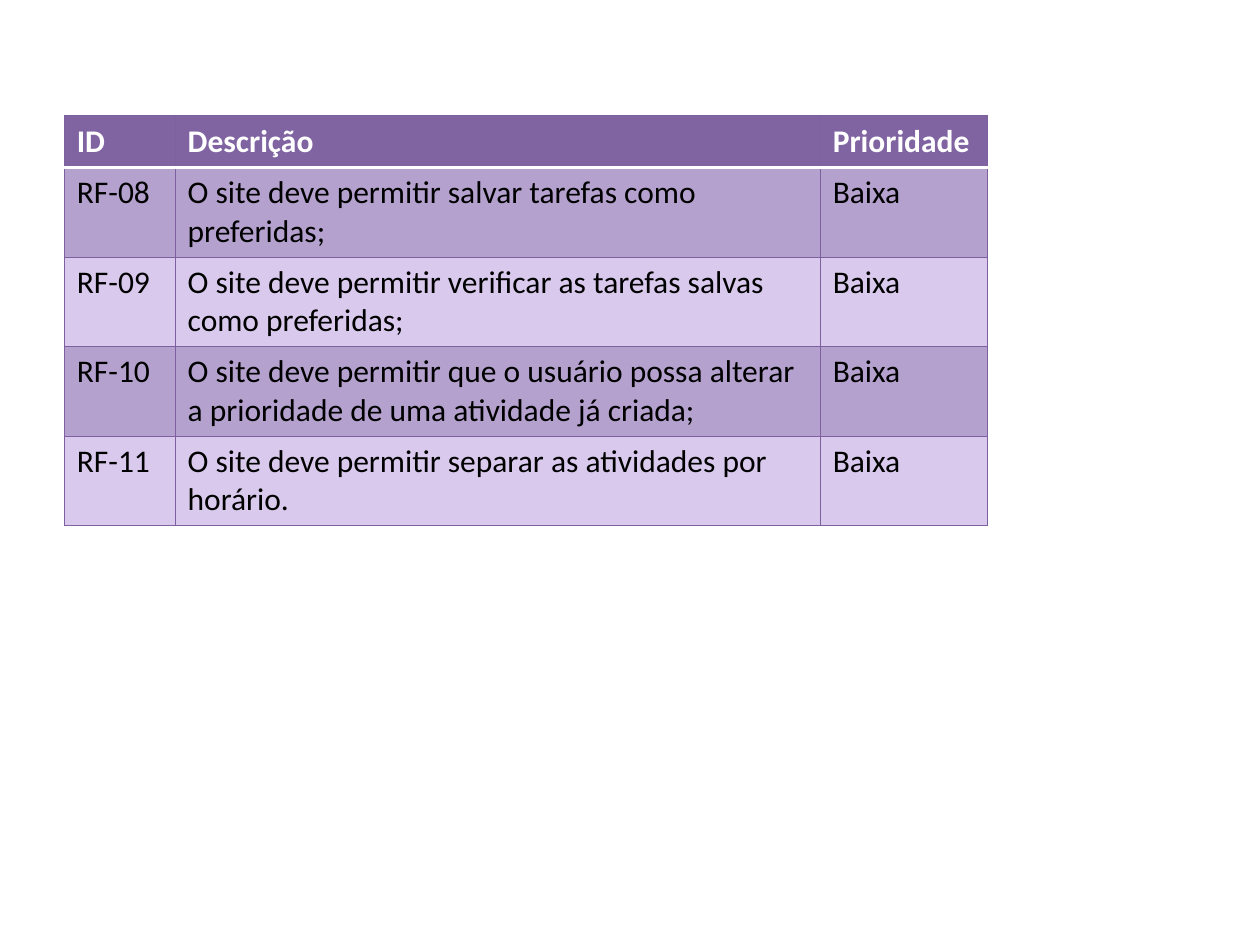
from typing import NamedTuple

from lxml.etree import Element, SubElement
from pptx import Presentation
from pptx.dml.color import RGBColor
from pptx.oxml.ns import qn
from pptx.table import Table, _Cell
from pptx.util import Inches, Pt

HEADER_FILL = RGBColor(0x80, 0x64, 0xA2)
DARK_BAND = RGBColor(0xB4, 0xA1, 0xCE)
LIGHT_BAND = RGBColor(0xD9, 0xC9, 0xEC)
GRID_LINE = RGBColor(0x7D, 0x60, 0xA0)
WHITE = RGBColor(0xFF, 0xFF, 0xFF)
BLACK = RGBColor(0x00, 0x00, 0x00)

COLUMN_WIDTHS = (0.88, 5.12, 1.33)
ROW_HEIGHT = 0.41


class Requirement(NamedTuple):
    code: str
    description: str
    priority: str


class Border(NamedTuple):
    color: RGBColor
    points: float


HEADINGS = Requirement("ID", "Descrição", "Prioridade")
REQUIREMENTS = (
    Requirement("RF-08", "O site deve permitir salvar tarefas como preferidas;", "Baixa"),
    Requirement("RF-09", "O site deve permitir verificar as tarefas salvas como preferidas;", "Baixa"),
    Requirement(
        "RF-10",
        "O site deve permitir que o usuário possa alterar a prioridade de uma atividade já criada;",
        "Baixa",
    ),
    Requirement("RF-11", "O site deve permitir separar as atividades por horário.", "Baixa"),
)
THIN = Border(GRID_LINE, 0.75)
HEADER_RULE = Border(WHITE, 2)


def write_text(
    cell: _Cell, text: str, *, color: RGBColor = BLACK, bold: bool = False,
    size: float = 18, font: str = "Calibri",
) -> None:
    run = cell.text_frame.paragraphs[0].add_run()
    run.text = text
    run.font.name = font
    run.font.size = Pt(size)
    run.font.bold = bold
    run.font.color.rgb = color


def set_borders(cell: _Cell, top: Border, bottom: Border) -> None:
    properties = cell._tc.get_or_add_tcPr()
    sides = {"a:lnL": THIN, "a:lnR": THIN, "a:lnT": top, "a:lnB": bottom}
    for position, (tag, border) in enumerate(sides.items()):
        line = Element(qn(tag), w=str(Pt(border.points)))
        fill = SubElement(line, qn("a:solidFill"))
        SubElement(fill, qn("a:srgbClr"), val=str(border.color))
        properties.insert(position, line)


def fill_row(table: Table, row: int, requirement: Requirement) -> None:
    is_header = row == 0
    band = HEADER_FILL if is_header else DARK_BAND if row % 2 else LIGHT_BAND
    table.rows[row].height = Inches(ROW_HEIGHT)
    for column, text in enumerate(requirement):
        cell = table.cell(row, column)
        cell.fill.solid()
        cell.fill.fore_color.rgb = band
        write_text(cell, text, color=WHITE if is_header else BLACK, bold=is_header)
        set_borders(
            cell,
            top=HEADER_RULE if row == 1 else THIN,
            bottom=HEADER_RULE if is_header else THIN,
        )


def main() -> None:
    presentation = Presentation()
    presentation.slide_width = Inches(10)
    presentation.slide_height = Inches(7.5)
    slide = presentation.slides.add_slide(presentation.slide_layouts[6])

    rows = (HEADINGS, *REQUIREMENTS)
    requirements_table = slide.shapes.add_table(
        len(rows), len(COLUMN_WIDTHS), Inches(0.51), Inches(0.92),
        Inches(sum(COLUMN_WIDTHS)), Inches(ROW_HEIGHT * len(rows)),
    ).table
    for column, width in zip(requirements_table.columns, COLUMN_WIDTHS):
        column.width = Inches(width)
    for row, requirement in enumerate(rows):
        fill_row(requirements_table, row, requirement)

    presentation.save("out.pptx")


if __name__ == "__main__":
    main()
